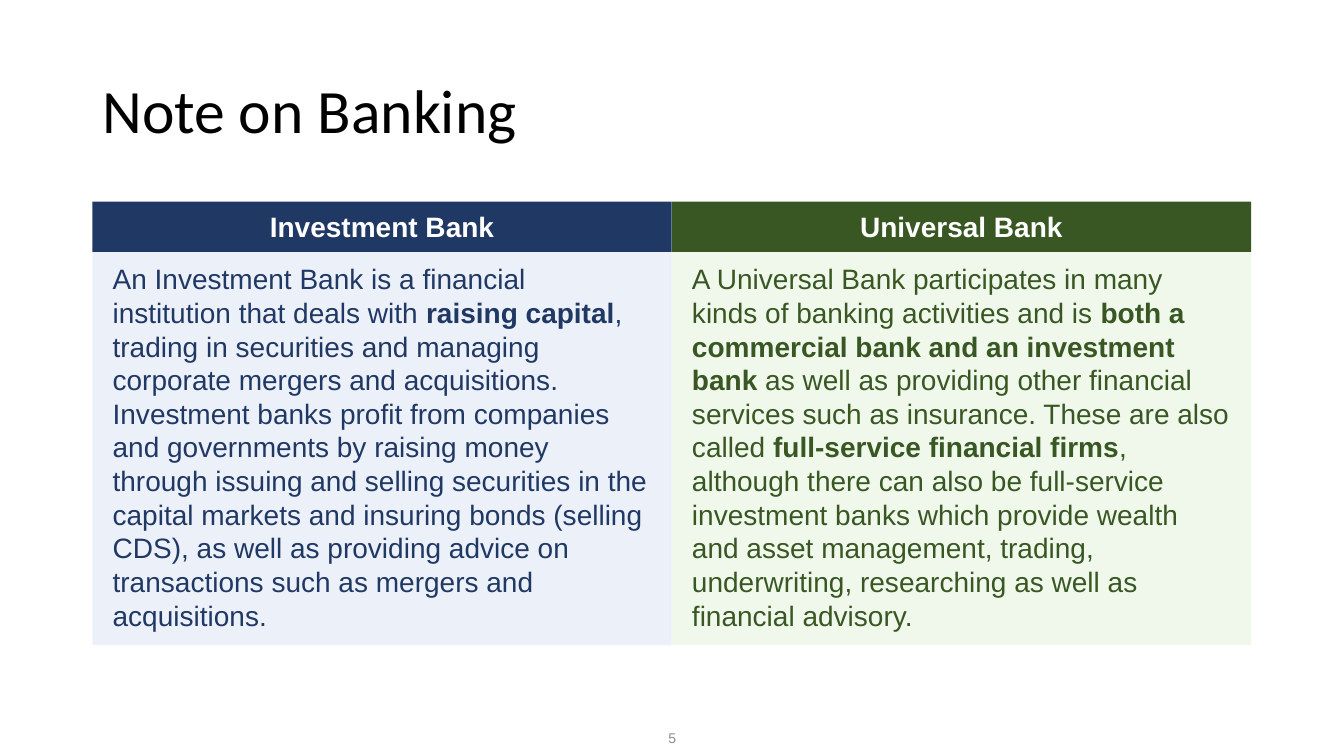
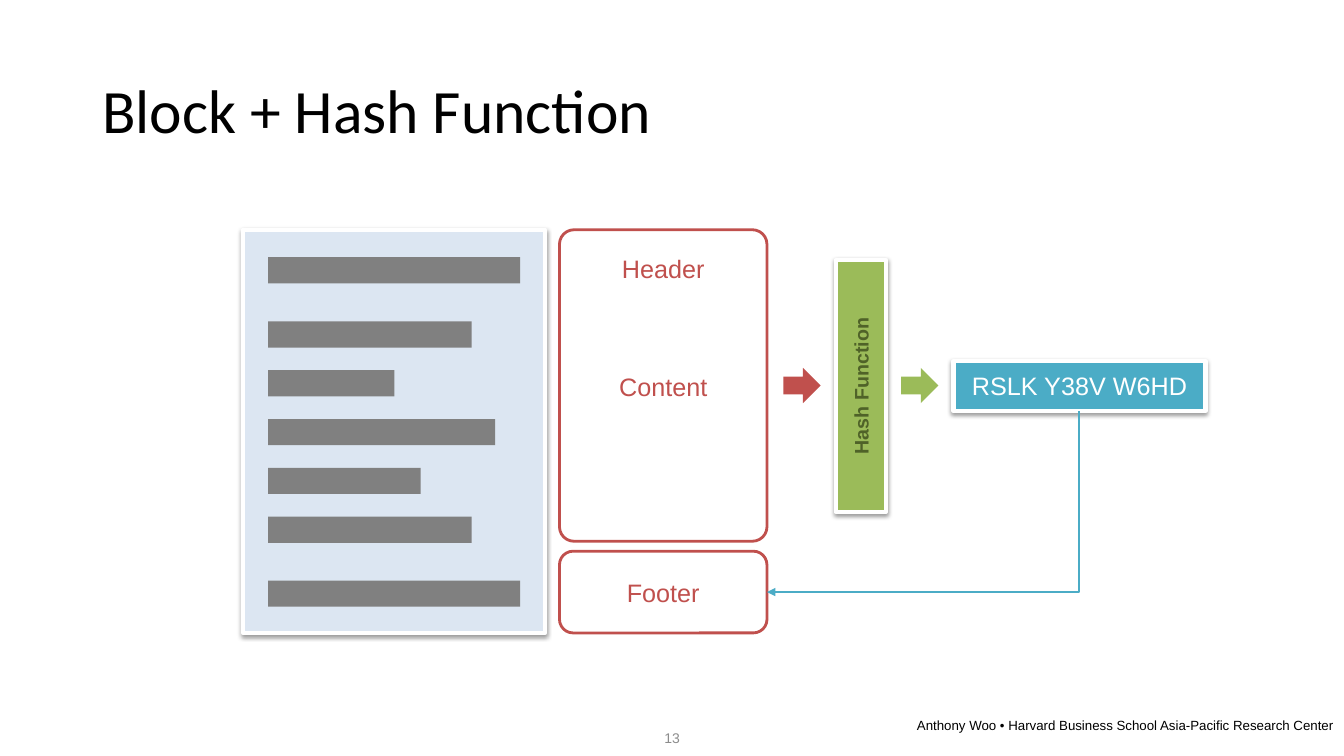
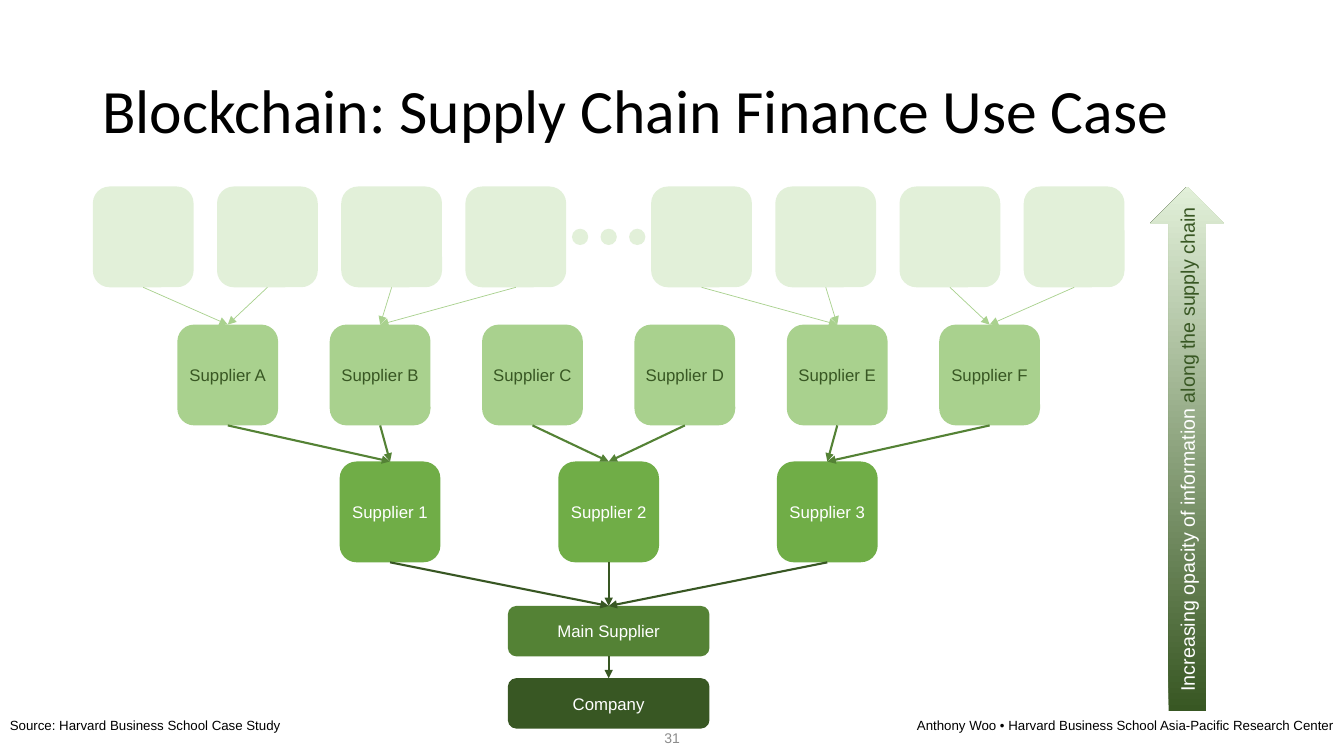
"""Builds three slides on banking, block hashing and supply chain finance."""
from lxml.etree import SubElement
from pptx import Presentation
from pptx.dml.color import RGBColor
from pptx.enum.shapes import MSO_CONNECTOR as Link, MSO_SHAPE as Kind
from pptx.enum.text import MSO_ANCHOR as Anchor, PP_ALIGN as Align
from pptx.oxml.ns import qn
from pptx.util import Cm, Pt

BLACK, WHITE, GREY, NUMBER_GREY = "000000", "FFFFFF", "808080", "8C8C8C"
NAVY, PALE_BLUE, PAGE_BLUE, TEAL = "203864", "DAE3F3", "DCE6F2", "4BACC6"
RED, LIME, OLIVE = "C0504D", "9BBB59", "4F6228"
FOREST, MOSS, LEAF, SAGE, MINT = "385723", "548235", "70AD47", "A9D18E", "E2F0D9"

CREDIT = "Anthony Woo • Harvard Business School Asia-Pacific Research Center"
SOURCE = "Source: Harvard Business School Case Study"

BANKS = [
    ("Investment Bank", NAVY, PALE_BLUE, [
        ("An Investment Bank is a financial institution that deals with ", False),
        ("raising capital", True),
        (", trading in securities and managing corporate mergers and acquisitions. "
         "Investment banks profit from companies and governments by raising money "
         "through issuing and selling securities in the capital markets and insuring "
         "bonds (selling CDS), as well as providing advice on transactions such as "
         "mergers and acquisitions.", False),
    ]),
    ("Universal Bank", FOREST, MINT, [
        ("A Universal Bank participates in many kinds of banking activities and is ", False),
        ("both a commercial bank and an investment bank", True),
        (" as well as providing other financial services such as insurance. "
         "These are also called ", False),
        ("full-service financial firms", True),
        (", although there can also be full-service investment banks which provide "
         "wealth and asset management, trading, underwriting, researching as well as "
         "financial advisory.", False),
    ]),
]

BODY_BAR_WIDTHS = [5.13, 3.18, 5.72, 3.84, 5.13]
BLOCK_LABELS = [("Header", 6.27, 2.62), ("Content", 9.22, 2.77)]
FLOW_ARROWS = [(19.74, RED), (22.71, LIME)]

CENTER = 15.34
TILE = 2.54
TIERS = [
    dict(names=[""] * 8, top=4.7, fill=MINT, ink=FOREST,
         centers=[CENTER + side * (2.34 + 3.13 * step)
                  for side, steps in ((-1, (3, 2, 1, 0)), (1, (0, 1, 2, 3)))
                  for step in steps],
         parents=[0, 0, 1, 1, 4, 4, 5, 5], link=SAGE, weight=0.5),
    dict(names=[f"Supplier {letter}" for letter in "ABCDEF"], top=8.18, fill=SAGE,
         ink=FOREST, centers=[CENTER + 3.84 * (i - 2.5) for i in range(6)],
         parents=[0, 0, 1, 1, 2, 2], link=MOSS, weight=1.5),
    dict(names=[f"Supplier {number}" for number in "123"], top=11.63, fill=LEAF,
         ink=WHITE, centers=[CENTER + 5.51 * (i - 1) for i in range(3)],
         parents=[0, 0, 0], link=FOREST, weight=1.5),
    dict(names=["Main Supplier"], top=15.27, fill=MOSS, ink=WHITE, centers=[CENTER],
         size=(5.08, 1.27), parents=[0], link=FOREST, weight=1.5),
    dict(names=["Company"], top=17.09, fill=FOREST, ink=WHITE, centers=[CENTER],
         size=(5.08, 1.27), parents=[]),
]


def rgb(color):
    return RGBColor.from_string(color)


def write(shape, runs, size, color=BLACK, align=Align.CENTER, anchor=Anchor.MIDDLE,
          font="Arial", wrap=True, inset=None):
    """Fills a shape with one paragraph; each run is text, bold and an optional colour."""
    frame = shape.text_frame
    frame.word_wrap, frame.vertical_anchor = wrap, anchor
    if inset:
        frame.margin_left = frame.margin_right = Cm(inset[0])
        frame.margin_top, frame.margin_bottom = Cm(inset[1]), Cm(inset[2])
    paragraph = frame.paragraphs[0]
    paragraph.alignment = align
    for text, bold, *ink in [(runs, False)] if isinstance(runs, str) else runs:
        run = paragraph.add_run()
        run.text = text
        run.font.name, run.font.size, run.font.bold = font, Pt(size), bold
        run.font.color.rgb = rgb(ink[0] if ink else color)
    return paragraph


def add_text(slide, box, runs, size, **style):
    shape = slide.shapes.add_textbox(*map(Cm, box))
    return shape, write(shape, runs, size, **style)


def add_box(slide, kind, box, fill, line=None, alpha=None, shadow=False):
    shape = slide.shapes.add_shape(kind, *map(Cm, box))
    shape.shadow.inherit = False
    shape.fill.solid()
    shape.fill.fore_color.rgb = rgb(fill)
    if alpha:
        color = shape._element.spPr.find(qn("a:solidFill"))[0]
        SubElement(color, qn("a:alpha"), val=str(alpha * 1000))
    if line:
        shape.line.color.rgb, shape.line.width = rgb(line[0]), Pt(line[1])
    else:
        shape.line.fill.background()
    if shadow:
        effects = shape._element.spPr.find(qn("a:effectLst"))
        outer = SubElement(effects, qn("a:outerShdw"), blurRad="40000", dist="20000",
                           dir="5400000", rotWithShape="0")
        color = SubElement(outer, qn("a:srgbClr"), val=BLACK)
        SubElement(color, qn("a:alpha"), val="38000")
    return shape


def add_arrow(slide, kind, points, color, weight):
    connector = slide.shapes.add_connector(kind, *map(Cm, points))
    connector.line.color.rgb, connector.line.width = rgb(color), Pt(weight)
    SubElement(connector.line._get_or_add_ln(), qn("a:tailEnd"), type="triangle")
    SubElement(connector._element.spPr, qn("a:effectLst"))
    return connector


def add_slide(presentation, title, number, credit=True):
    slide = presentation.slides.add_slide(presentation.slide_layouts[6])
    _, paragraph = add_text(slide, (2.33, 1.01, 29.21, 3.68), title, 44,
                            align=Align.LEFT, font="Calibri")
    paragraph.line_spacing = 0.9
    add_text(slide, (13.13, 18.03, 7.62, 1.02), number, 10, color=NUMBER_GREY,
             inset=(0.25, 0.13, 0))
    if credit:
        add_text(slide, (18.62, 17.93, 15.24, 0.66), CREDIT, 9.5,
                 align=Align.RIGHT, anchor=Anchor.BOTTOM)
    return slide


def build_banking(presentation):
    slide = add_slide(presentation, "Note on Banking", "5", credit=False)
    width = 14.6
    for column, (name, dark, pale, runs) in enumerate(BANKS):
        left = 2.33 + column * width
        body = add_box(slide, Kind.RECTANGLE, (left, 6.35, width, 9.91), pale, alpha=50)
        write(body, runs, 20, dark, Align.LEFT, Anchor.TOP, inset=(0.51, 0.25, 0.25))
        heading = add_box(slide, Kind.RECTANGLE, (left, 5.08, width, 1.27), dark)
        write(heading, [(name, True)], 20, WHITE)


def build_hash(presentation):
    slide = add_slide(presentation, "Block + Hash Function", "13")
    frame = (WHITE, 3)
    add_box(slide, Kind.RECTANGLE, (6.12, 5.79, 7.62, 10.16), PAGE_BLUE, frame, shadow=True)
    body_bars = [(8.1 + 1.23 * i, width) for i, width in enumerate(BODY_BAR_WIDTHS)]
    for top, width in [(6.48, 6.35), *body_bars, (14.63, 6.35)]:
        add_box(slide, Kind.RECTANGLE, (6.76, top, width, 0.66), GREY)

    left, width = 14.1, 5.23
    block = add_box(slide, Kind.ROUNDED_RECTANGLE, (left, 5.79, width, 7.85), WHITE, (RED, 2))
    block.adjustments[0] = 0.07
    for label, top, label_width in BLOCK_LABELS:
        add_text(slide, (left + (width - label_width) / 2, top, label_width, 1.02), label, 18,
                 color=RED, anchor=Anchor.TOP, wrap=False)
    footer = add_box(slide, Kind.ROUNDED_RECTANGLE, (left, 13.89, width, 2.06), WHITE, (RED, 2))
    write(footer, "Footer", 18, RED)

    function = add_box(slide, Kind.RECTANGLE, (18.52, 9.09, 6.35, 1.27), LIME, frame, shadow=True)
    function.rotation = 270
    write(function, [("Hash Function", True)], 14, OLIVE)
    for arrow_left, color in FLOW_ARROWS:
        add_box(slide, Kind.RIGHT_ARROW, (arrow_left, 9.27, 0.94, 0.89), color)
    code = add_box(slide, Kind.RECTANGLE, (24.03, 9.09, 6.35, 1.27), TEAL, frame, shadow=True)
    write(code, "RSLK Y38V W6HD", 18, WHITE)

    start_x, start_y, end_x, end_y = 27.2, 10.36, left + width, 14.92
    middle_x, middle_y = (start_x + end_x) / 2, (start_y + end_y) / 2
    half_run, half_drop = (start_x - end_x) / 2, (end_y - start_y) / 2
    elbow = add_arrow(slide, Link.ELBOW, (middle_x - half_drop, middle_y - half_run,
                                          middle_x + half_drop, middle_y + half_run), TEAL, 1.5)
    elbow.rotation = 90
    elbow._element.spPr.find(qn("a:prstGeom")).set("prst", "bentConnector2")


def build_supply_chain(presentation):
    slide = add_slide(presentation, "Blockchain: Supply Chain Finance Use Case", "31")
    add_text(slide, (0, 17.93, 15.24, 0.66), SOURCE, 9.5,
             align=Align.LEFT, anchor=Anchor.BOTTOM)

    opacity = add_box(slide, Kind.DOWN_ARROW, (28.98, 4.7, 1.88, 13.21), FOREST)
    opacity.rotation = 180
    opacity.fill.gradient()
    opacity.fill.gradient_angle = 270
    for stop, color in zip(opacity.fill.gradient_stops, (FOREST, MINT)):
        stop.color.rgb = rgb(color)
    caption, _ = add_text(slide, (23.55, 10.87, 12.75, 0.86),
                          [("Increasing opacity of information ", False, WHITE),
                           ("along the supply chain", False, FOREST)], 14,
                          align=Align.LEFT, anchor=Anchor.TOP, wrap=False)
    caption.rotation = 270

    rows = []
    for tier in TIERS:
        width, height = tier.get("size", (TILE, TILE))
        row = []
        for name, center in zip(tier["names"], tier["centers"]):
            tile = add_box(slide, Kind.ROUNDED_RECTANGLE,
                           (center - width / 2, tier["top"], width, height), tier["fill"])
            if name:
                write(tile, name, 12, tier["ink"], inset=(0, 0, 0))
            row.append(tile)
        rows.append(row)
    for tier, row, next_row in zip(TIERS, rows, rows[1:]):
        for tile, parent in zip(row, tier["parents"]):
            arrow = add_arrow(slide, Link.STRAIGHT, (0, 0, 0, 0), tier["link"], tier["weight"])
            arrow.begin_connect(tile, 2)
            arrow.end_connect(next_row[parent], 0)

    dot = 0.41
    for step in (-1, 0, 1):
        add_box(slide, Kind.OVAL, (CENTER + 0.72 * step - dot / 2,
                                   TIERS[0]["top"] + (TILE - dot) / 2, dot, dot), MINT)


def main():
    presentation = Presentation()
    presentation.slide_width, presentation.slide_height = Cm(33.87), Cm(19.05)
    build_banking(presentation)
    build_hash(presentation)
    build_supply_chain(presentation)
    presentation.save("out.pptx")


if __name__ == "__main__":
    main()
